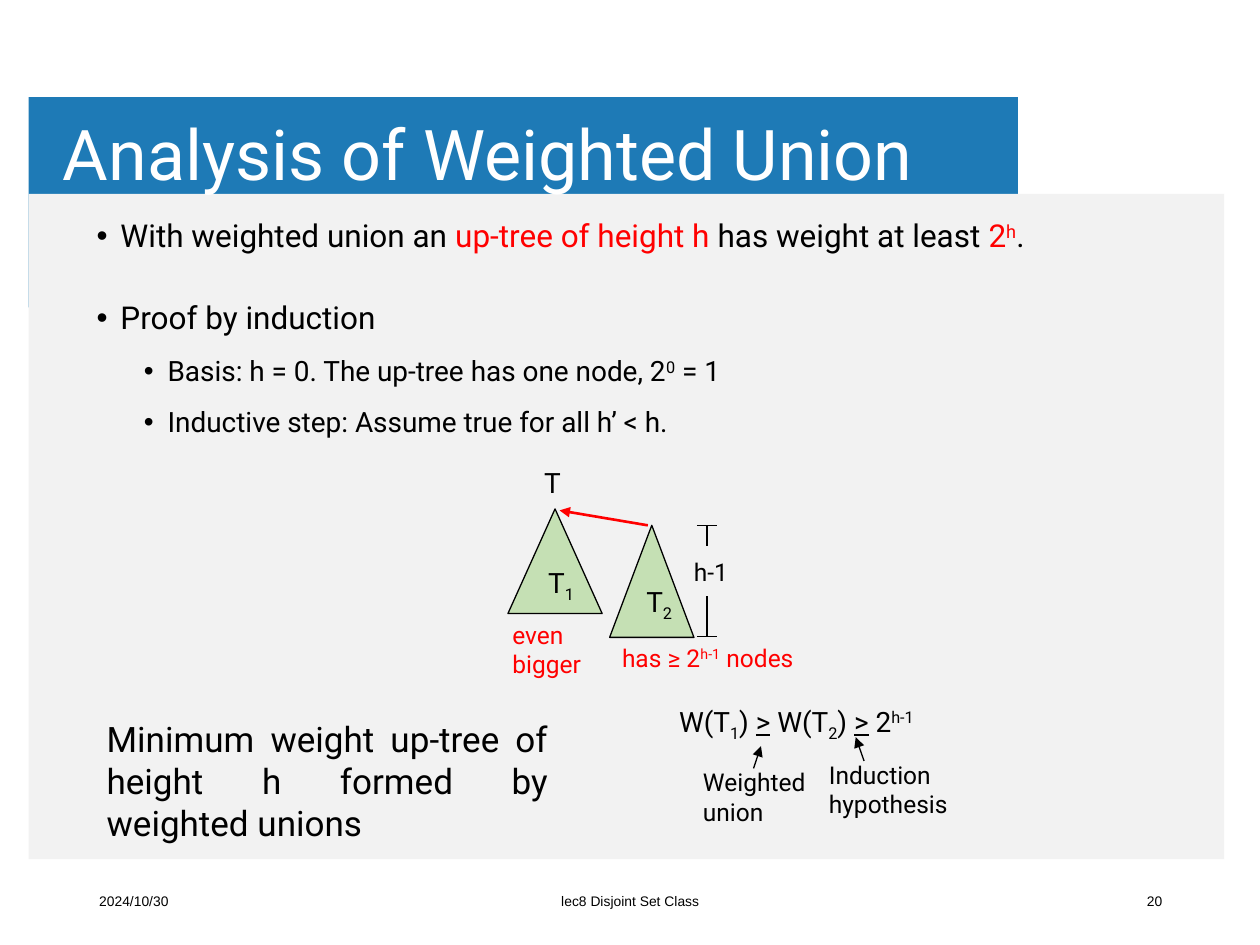
from dataclasses import dataclass

import pptx
import pptx.dml.color
import pptx.enum.shapes
import pptx.enum.text
import pptx.oxml
import pptx.oxml.ns
import pptx.util
from lxml import etree

Cm, Pt = pptx.util.Cm, pptx.util.Pt
ALIGN = pptx.enum.text.PP_ALIGN
ANCHOR = pptx.enum.text.MSO_ANCHOR
SHAPE = pptx.enum.shapes.MSO_SHAPE


@dataclass(frozen=True)
class Theme:
    banner: str = "1E7AB6"
    panel: str = "F2F2F2"
    tree: str = "C5E0B4"
    ink: str = "000000"
    accent: str = "FF0000"
    white: str = "FFFFFF"
    face: str = "Roboto"
    footer_face: str = "Arial"
    title: float = 40
    conclusion: float = 20
    bullet: float = 18
    formula: float = 16
    note: float = 14
    footer: float = 7.9


@dataclass(frozen=True)
class Box:
    left: float
    top: float
    width: float
    height: float

    def inner(self, x, y, width, height):
        return Box(self.left + x, self.top + y, width, height)

    def lengths(self):
        return [Cm(value) for value in (self.left, self.top, self.width, self.height)]


THEME = Theme()
RED = {"color": THEME.accent}
UP = {"baseline": 30}
DOWN = {"baseline": -25}
UNDERLINED = {"underline": True}


def qn(tag):
    return pptx.oxml.ns.qn(tag)


def rgb(color):
    return pptx.dml.color.RGBColor.from_string(color)


def apply(target, values):
    for name, value in values.items():
        setattr(target, name, value)


def write_runs(paragraph, runs, size, color, face):
    for run_text, style in runs:
        for index, line in enumerate(run_text.split("\n")):
            if index:
                paragraph.add_line_break()
            run = paragraph.add_run()
            run.text = line
            apply(run.font, {"size": Pt(size), "name": face, "underline": style.get("underline")})
            run.font.color.rgb = rgb(style.get("color", color))
            if "baseline" in style:
                run.font._element.set("baseline", str(style["baseline"] * 1000))


def add_text(slide, box, paragraphs, size, color=THEME.ink, face=THEME.face, frame=None, layout=None):
    text_frame = slide.shapes.add_textbox(*box.lengths()).text_frame
    apply(text_frame, {"word_wrap": True, **(frame or {})})
    for index, runs in enumerate(paragraphs):
        paragraph = text_frame.add_paragraph() if index else text_frame.paragraphs[0]
        apply(paragraph, layout or {})
        write_runs(paragraph, runs, size, color, face)
    return text_frame


def add_label(slide, box, paragraphs, size, color=THEME.ink):
    fit = {"word_wrap": False, "auto_size": pptx.enum.text.MSO_AUTO_SIZE.SHAPE_TO_FIT_TEXT}
    add_text(slide, box, paragraphs, size, color, frame=fit)


def add_block(slide, kind, box, fill, outline=None):
    block = slide.shapes.add_shape(kind, *box.lengths())
    block.shadow.inherit = False
    block.fill.solid()
    block.fill.fore_color.rgb = rgb(fill)
    if outline:
        block.line.color.rgb = rgb(outline)
        block.line.width = Pt(0.75)
    else:
        block.line.fill.background()


def add_line(slide, box, start, end, color=THEME.ink, width=0.75, arrow=False):
    ends = [Cm(value) for x, y in (start, end) for value in (box.left + x, box.top + y)]
    line = slide.shapes.add_connector(pptx.enum.shapes.MSO_CONNECTOR.STRAIGHT, *ends)
    line.line.color.rgb = rgb(color)
    line.line.width = Pt(width)
    if arrow:
        etree.SubElement(line.line._get_or_add_ln(), qn("a:tailEnd"), type="triangle")
    etree.SubElement(line._element.spPr, qn("a:effectLst"))


def header(slide, box):
    insets = {"margin_left": Cm(0.18), "margin_right": Cm(0.18), "margin_top": Cm(0.1),
              "margin_bottom": Cm(0.1), "vertical_anchor": ANCHOR.MIDDLE}
    add_text(slide, box, [[("Analysis of Weighted Union", {})]], THEME.title, THEME.white,
             frame=insets, layout={"line_spacing": 0.9})


def backdrop(slide, box):
    add_block(slide, SHAPE.RECTANGLE, box.inner(0, 0, 19.94, 4.24), THEME.banner)
    add_block(slide, SHAPE.RECTANGLE, box.inner(0, 1.95, box.width, box.height - 1.95), THEME.panel)


def footer(slide, box):
    side = 5.72
    columns = [("2024/10/30", 0, side, ALIGN.LEFT),
               ("lec8 Disjoint Set Class", 6.66, 8.59, ALIGN.CENTER),
               ("20", box.width - side, side, ALIGN.RIGHT)]
    for words, x, width, alignment in columns:
        add_text(slide, box.inner(x, 0, width, box.height), [[(words, {})]], THEME.footer,
                 face=THEME.footer_face, frame={"vertical_anchor": ANCHOR.MIDDLE},
                 layout={"alignment": alignment})


def claims(slide, box):
    points = [
        (0, [("With weighted union an ", {}), ("up-tree of height h", RED),
             (" has weight at least ", {}), ("2", RED), ("h", {**RED, **UP}), (".", {})]),
        (0, [("Proof by induction", {})]),
        (1, [("Basis: h = 0. The up-tree has one node, 2", {}), ("0", UP), (" = 1", {})]),
        (1, [("Inductive step: Assume true for all h’ < h.", {})]),
    ]
    levels = [(THEME.bullet, 0.48, 27.5), (THEME.formula, 1.43, 12)]
    text_frame = add_text(slide, box, [[] for _ in points], THEME.bullet)
    for index, (paragraph, (level, runs)) in enumerate(zip(text_frame.paragraphs, points)):
        size, margin, gap = levels[level]
        properties = paragraph._p.get_or_add_pPr()
        properties.set("marL", str(Cm(margin)))
        properties.set("indent", str(-Cm(0.48)))
        etree.SubElement(properties, qn("a:buFont"), typeface="Arial")
        etree.SubElement(properties, qn("a:buChar"), char="•")
        apply(paragraph, {"level": level, "line_spacing": 0.9, "space_before": Pt(gap if index else 0)})
        write_runs(paragraph, runs, size, THEME.ink, THEME.face)


def trees(slide, box):
    for triangle in ((0.16, 0.99, 1.9, 2.11), (2.21, 1.32, 1.7, 2.26)):
        add_block(slide, SHAPE.ISOSCELES_TRIANGLE, box.inner(*triangle), THEME.tree, THEME.ink)
    add_line(slide, box, (2.98, 1.32), (1.2, 1.02), THEME.accent, 1.5, arrow=True)
    for edge, stem_end in ((1.32, 1.73), (3.56, 2.74)):
        add_line(slide, box, (3.97, edge), (4.37, edge))
        add_line(slide, box, (4.17, edge), (4.17, stem_end))
    labels = [
        ((0.64, 0, 0.86, 0.94), [[("T", {})]], THEME.formula, THEME.ink),
        ((0.72, 2.01, 1.02, 0.94), [[("T", {}), ("1", DOWN)]], THEME.formula, THEME.ink),
        ((2.7, 2.39, 1.07, 0.94), [[("T", {}), ("2", DOWN)]], THEME.formula, THEME.ink),
        ((3.66, 1.83, 1.22, 0.86), [[("h-1", {})]], THEME.note, THEME.ink),
        ((2.21, 3.56, 4.09, 0.86), [[("has ≥ 2", {}), ("h-1", UP), (" nodes", {})]],
         THEME.note, THEME.accent),
        ((0, 3.1, 1.98, 1.45), [[("even", {})], [("bigger", {})]], THEME.note, THEME.accent),
    ]
    for place, paragraphs, size, color in labels:
        add_label(slide, box.inner(*place), paragraphs, size, color)


def conclusion(slide, box):
    add_text(slide, box, [[("Minimum weight up-tree of height h formed by weighted unions", {})]],
             THEME.conclusion, layout={"alignment": ALIGN.JUSTIFY})


def inequality(slide, box):
    formula = [("W(T", {}), ("1", DOWN), (") ", {}), (">", UNDERLINED), (" W(T", {}),
               ("2", DOWN), (") ", {}), (">", UNDERLINED), (" 2", {}), ("h-1", UP)]
    add_label(slide, box.inner(0, 0, 5.92, 0.94), [formula], THEME.formula)
    reasons = [("Weighted\nunion", (0.48, 1.27, 2.72, 1.45), (1.75, 1.42), (1.9, 0.97)),
               ("Induction\nhypothesis", (3.02, 1.12, 3, 1.45), (3.98, 1.27), (3.81, 0.79))]
    for words, place, start, end in reasons:
        add_label(slide, box.inner(*place), [[(words, {})]], THEME.note)
        add_line(slide, box, start, end, arrow=True)


def main():
    deck = pptx.Presentation()
    apply(deck, {"slide_width": Cm(25.4), "slide_height": Cm(19.05)})
    slide = deck.slides.add_slide(deck.slide_layouts[6])
    backdrop(slide, Box(0.58, 1.96, 24.1, 15.36))
    header(slide, Box(1.09, 1.93, 20.4, 2.49))
    footer(slide, Box(1.75, 17.65, 21.93, 1.02))
    claims(slide, Box(1.7, 4.32, 21.84, 5.41))
    trees(slide, Box(10.08, 9.27, 6.3, 4.55))
    conclusion(slide, Box(1.9, 14.33, 9.4, 2.82))
    inequality(slide, Box(13.44, 14.07, 6.02, 2.72))
    deck.save("out.pptx")


if __name__ == "__main__":
    main()
